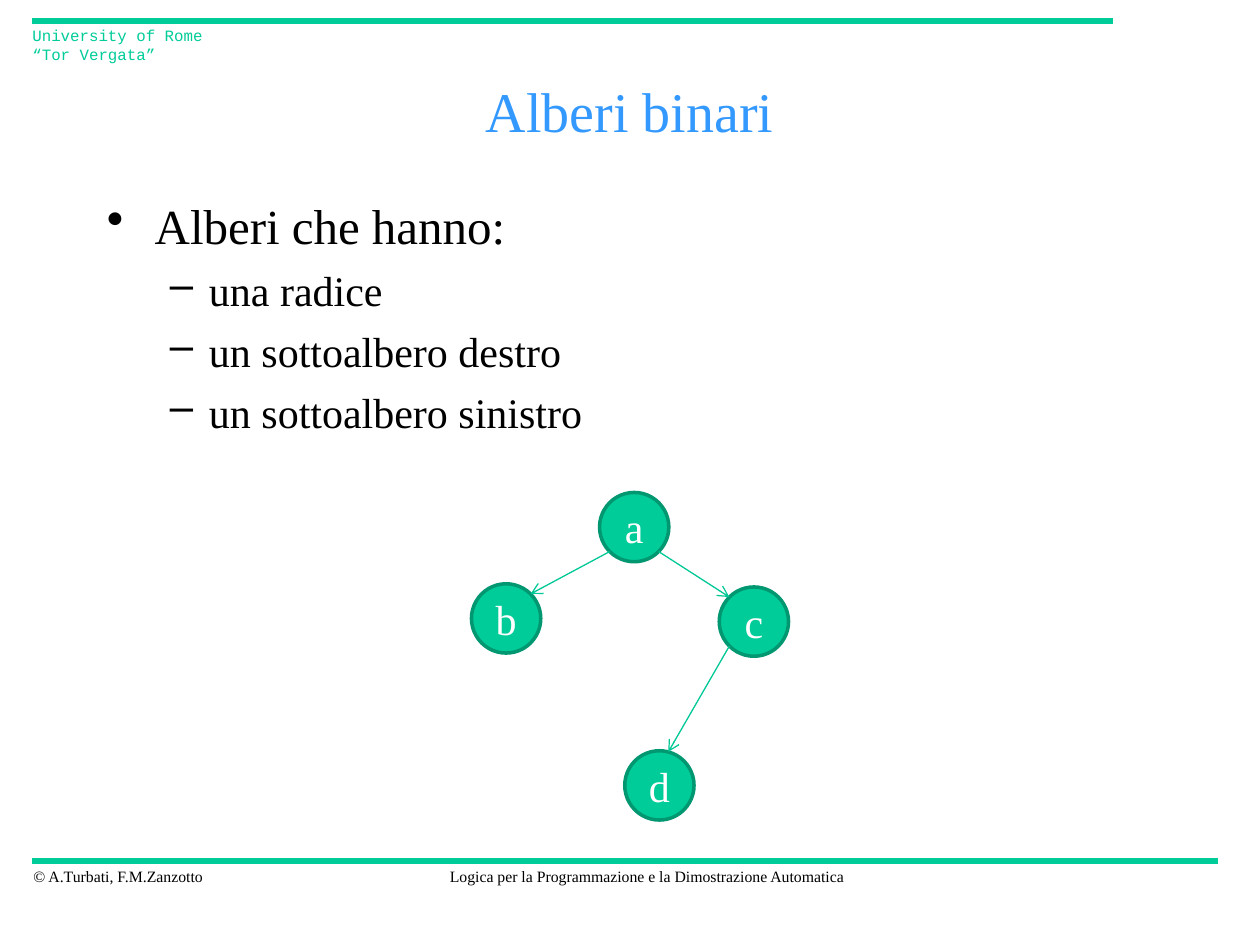
import math

import lxml.etree
import pptx
import pptx.dml.color
import pptx.enum.shapes
import pptx.enum.text
import pptx.oxml.ns
import pptx.util

# The slide is a grid of 120 columns by 90 rows.
COLUMNS, ROWS = 120, 90
CELL = 1 / 12
NODE_SIZE = 6.6

COLORS = {
    "accent": "00CC99",
    "node_edge": "009771",
    "arrow": "00C896",
    "title": "3399FF",
    "text": "000000",
    "node_text": "FFFFFF",
}
SERIF, MONO = "Times New Roman", "Courier New"
ALIGN = pptx.enum.text.PP_ALIGN
MIDDLE = pptx.enum.text.MSO_ANCHOR.MIDDLE

RULES = [(3, 116, 82), (3, 106, 2)]  # first column, last column, row

CAPTIONS = [
    ((2, 82, 19, 3), "© A.Turbati, F.M.Zanzotto",
     {"size": 9, "color": "text", "wrap": False}),
    ((41.4, 82, 40.4, 3), "Logica per la Programmazione e la Dimostrazione Automatica",
     {"size": 9, "color": "text", "align": ALIGN.CENTER, "wrap": False}),
    ((1.9, 1.9, 20.5, 4.7), "University of Rome\v“Tor Vergata”",
     {"size": 9, "color": "accent", "font": MONO}),
    ((9, 6, 102, 9), "Alberi binari",
     {"size": 32, "color": "title", "align": ALIGN.CENTER, "anchor": MIDDLE}),
]

BULLET_LEVELS = [
    {"size": 28, "before": 3, "margin": 0.38, "indent": -0.38, "mark": "•"},
    {"size": 24, "before": 6, "margin": 0.81, "indent": -0.31, "mark": "–"},
]
BULLETS = [
    (0, "Alberi che hanno:"),
    (1, "una radice"),
    (1, "un sottoalbero destro"),
    (1, "un sottoalbero sinistro"),
]

NODE_CENTERS = {
    "a": (60.4, 50.2),
    "b": (48.2, 58.9),
    "c": (71.8, 59.2),
    "d": (62.8, 74.8),
}
# Parent, angle where the arrow leaves it, child, angle where it arrives;
# degrees run clockwise from the right.
BRANCHES = [("a", 135, "b", -45), ("a", 45, "c", -135), ("c", 135, "d", -75)]


def grid(*cells):
    return [pptx.util.Inches(cell * CELL) for cell in cells]


def rgb(name):
    return pptx.dml.color.RGBColor.from_string(COLORS[name])


def set_all(target, values):
    for name, value in values.items():
        setattr(target, name, value)


def style_text(paragraph, size, color, font=SERIF, align=ALIGN.LEFT):
    paragraph.alignment = align
    set_all(paragraph.font, {"size": pptx.util.Pt(size), "name": font})
    paragraph.font.color.rgb = rgb(color)


def add_caption(slide, box, text, size, color, font=SERIF, align=ALIGN.LEFT,
                anchor=pptx.enum.text.MSO_ANCHOR.TOP, wrap=True):
    frame = slide.shapes.add_textbox(*grid(*box)).text_frame
    set_all(frame, {"word_wrap": wrap, "vertical_anchor": anchor, "text": text})
    style_text(frame.paragraphs[0], size, color, font, align)


def add_bullets(slide, box, items):
    frame = slide.shapes.add_textbox(*grid(*box)).text_frame
    frame.word_wrap = True
    for position, (depth, text) in enumerate(items):
        level = BULLET_LEVELS[depth]
        paragraph = frame.add_paragraph() if position else frame.paragraphs[0]
        set_all(paragraph, {"text": text, "level": depth,
                            "space_before": pptx.util.Pt(level["before"])})
        style_text(paragraph, level["size"], "text")
        properties = paragraph._p.get_or_add_pPr()
        properties.set("marL", str(pptx.util.Inches(level["margin"])))
        properties.set("indent", str(pptx.util.Inches(level["indent"])))
        mark = lxml.etree.SubElement(properties, pptx.oxml.ns.qn("a:buChar"))
        mark.set("char", level["mark"])


def add_line(slide, start, end, color, width, arrow=False):
    line = slide.shapes.add_connector(
        pptx.enum.shapes.MSO_CONNECTOR.STRAIGHT, *grid(*start, *end))
    line.line.color.rgb = rgb(color)
    line.line.width = pptx.util.Pt(width)
    if arrow:
        outline = line.line._get_or_add_ln()
        lxml.etree.SubElement(outline, pptx.oxml.ns.qn("a:tailEnd")).set("type", "arrow")
    lxml.etree.SubElement(line._element.spPr, pptx.oxml.ns.qn("a:effectLst"))


def add_node(slide, label, center):
    corner = [place - NODE_SIZE / 2 for place in center]
    node = slide.shapes.add_shape(
        pptx.enum.shapes.MSO_SHAPE.OVAL, *grid(*corner, NODE_SIZE, NODE_SIZE))
    node.shadow.inherit = False
    node.fill.solid()
    node.fill.fore_color.rgb = rgb("accent")
    node.line.color.rgb = rgb("node_edge")
    node.line.width = pptx.util.Pt(2)
    set_all(node.text_frame, {"text": label, "vertical_anchor": MIDDLE})
    style_text(node.text_frame.paragraphs[0], 24, "node_text", align=ALIGN.CENTER)


def rim_point(label, degrees):
    """Return the grid point on a node's circle at the given angle."""
    column, row = NODE_CENTERS[label]
    angle, radius = math.radians(degrees), NODE_SIZE / 2
    return column + radius * math.cos(angle), row + radius * math.sin(angle)


def main():
    deck = pptx.Presentation()
    deck.slide_width, deck.slide_height = grid(COLUMNS, ROWS)
    slide = deck.slides.add_slide(deck.slide_layouts[6])

    for first, last, row in RULES:
        add_line(slide, (first, row), (last, row), "accent", 3)
    for box, text, style in CAPTIONS:
        add_caption(slide, box, text, **style)
    add_bullets(slide, (9, 18, 102, 62), BULLETS)
    for label, center in NODE_CENTERS.items():
        add_node(slide, label, center)
    for parent, leaving, child, arriving in BRANCHES:
        add_line(slide, rim_point(parent, leaving), rim_point(child, arriving),
                 "arrow", 0.75, arrow=True)

    deck.save("out.pptx")


if __name__ == "__main__":
    main()
